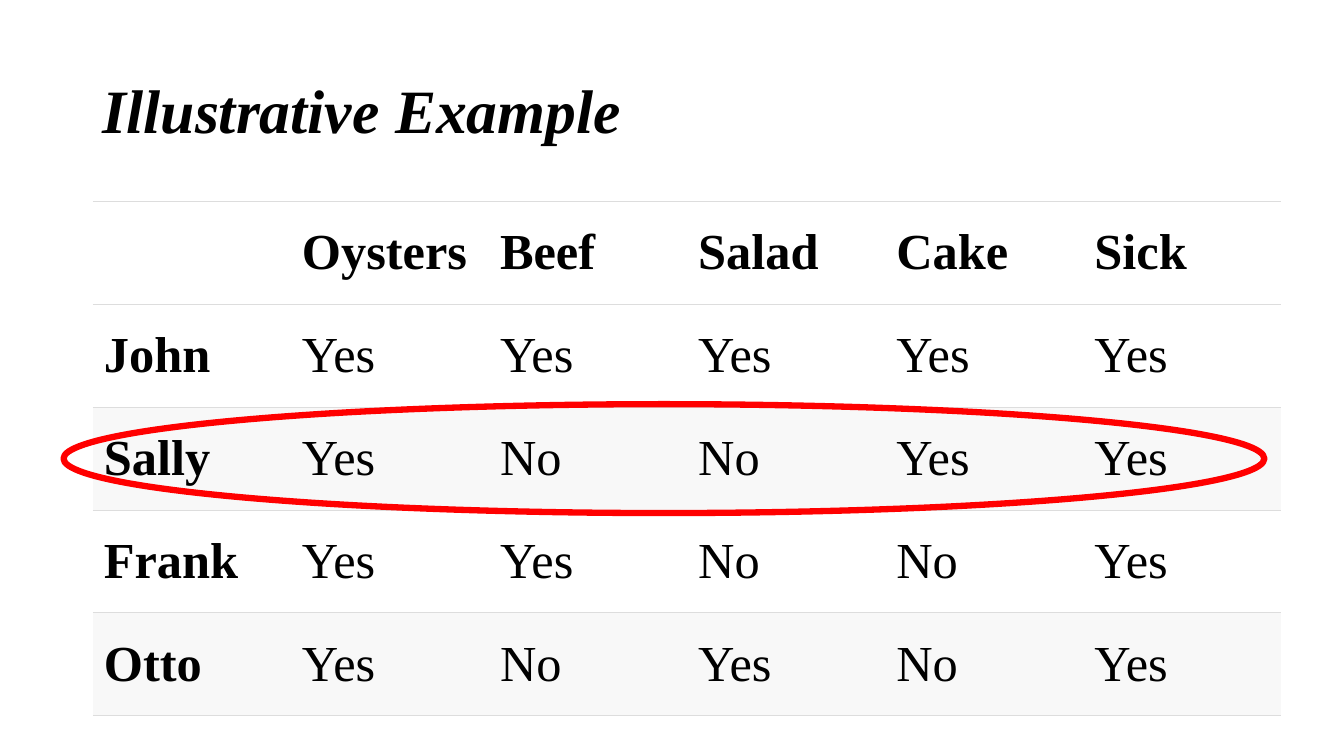
from dataclasses import dataclass

from lxml import etree
from pptx import Presentation
from pptx import util as u
from pptx.dml.color import RGBColor
from pptx.enum import shapes, text
from pptx.oxml import ns

BLACK = RGBColor(0x00, 0x00, 0x00)
WHITE = RGBColor(0xFF, 0xFF, 0xFF)
BAND = RGBColor(0xF8, 0xF8, 0xF8)
RULE = RGBColor(0xDD, 0xDD, 0xDD)
RED = RGBColor(0xFF, 0x00, 0x00)
FONT = "Times New Roman"

LEFT = 0.92
TABLE_TOP = 2.0
TABLE_WIDTH = 11.79
ROW_HEIGHT = 1.02
HEADINGS = ("", "Oysters", "Beef", "Salad", "Cake", "Sick")


@dataclass(frozen=True)
class Guest:
    name: str
    answers: str
    fill: RGBColor = WHITE

    @property
    def cells(self) -> tuple[str, ...]:
        return (self.name, *self.answers.split())


GUESTS = (
    Guest("John", "Yes Yes Yes Yes Yes"),
    Guest("Sally", "Yes No No Yes Yes", BAND),
    Guest("Frank", "Yes Yes No No Yes"),
    Guest("Otto", "Yes No Yes No Yes", BAND),
)


def write(tf, content: str, *, size: float, bold: bool = False,
          italic: bool = False, spacing: float = 1.0) -> None:
    p = tf.paragraphs[0]
    p.line_spacing = spacing
    r = p.add_run()
    r.text = content
    r.font.name = FONT
    r.font.size = u.Pt(size)
    r.font.bold = bold
    r.font.italic = italic
    r.font.color.rgb = BLACK


def set_borders(cell, bottom: float) -> None:
    """Rule the cell above and below only; must run before the fill is set."""
    tc_pr = cell._tc.get_or_add_tcPr()
    for side, points in (("L", 0), ("R", 0), ("T", 0.6), ("B", bottom)):
        ln = etree.SubElement(tc_pr, ns.qn(f"a:ln{side}"), w=str(u.Pt(points)))
        if points:
            fill = etree.SubElement(ln, ns.qn("a:solidFill"))
            etree.SubElement(fill, ns.qn("a:srgbClr"), val=str(RULE))
        else:
            etree.SubElement(ln, ns.qn("a:noFill"))


def add_title(s) -> None:
    sp = s.shapes.add_textbox(u.Inches(LEFT), u.Inches(0.4),
                              u.Inches(11.5), u.Inches(1.45))
    tf = sp.text_frame
    tf.word_wrap = True
    tf.vertical_anchor = text.MSO_ANCHOR.MIDDLE
    write(tf, "Illustrative Example", size=44, bold=True, italic=True, spacing=0.9)


def add_guest_table(s) -> None:
    rows = [(HEADINGS, WHITE)] + [(g.cells, g.fill) for g in GUESTS]
    table = s.shapes.add_table(
        len(rows), len(HEADINGS), u.Inches(LEFT), u.Inches(TABLE_TOP),
        u.Inches(TABLE_WIDTH), u.Inches(ROW_HEIGHT * len(rows))).table
    table.first_row = table.horz_banding = False
    for i, (labels, fill) in enumerate(rows):
        for j, label in enumerate(labels):
            cell = table.cell(i, j)
            set_borders(cell, bottom=1.2 if i == len(rows) - 1 else 0.6)
            cell.fill.solid()
            cell.fill.fore_color.rgb = fill
            cell.vertical_anchor = text.MSO_ANCHOR.MIDDLE
            cell.margin_left = cell.margin_right = u.Inches(0.11)
            if label:
                write(cell.text_frame, label, size=36, bold=i == 0 or j == 0)


def add_highlight(s) -> None:
    sp = s.shapes.add_shape(shapes.MSO_SHAPE.OVAL, u.Inches(0.63), u.Inches(4.01),
                            u.Inches(11.91), u.Inches(1.08))
    sp.shadow.inherit = False
    sp.fill.background()
    sp.line.color.rgb = RED
    sp.line.width = u.Pt(4.5)


def main() -> None:
    prs = Presentation()
    prs.slide_width = u.Inches(13.33)
    prs.slide_height = u.Inches(7.5)
    s = prs.slides.add_slide(prs.slide_layouts[6])
    add_title(s)
    add_guest_table(s)
    add_highlight(s)
    prs.save("out.pptx")


if __name__ == "__main__":
    main()
